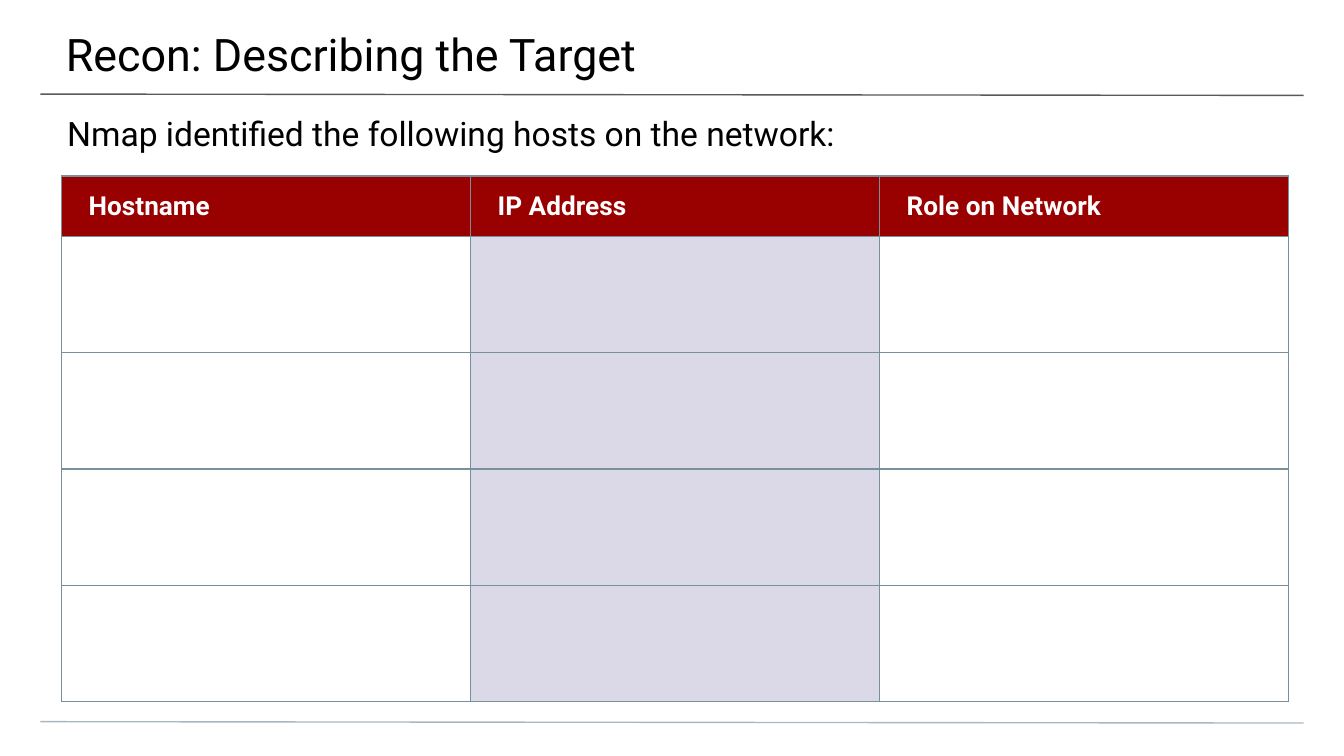
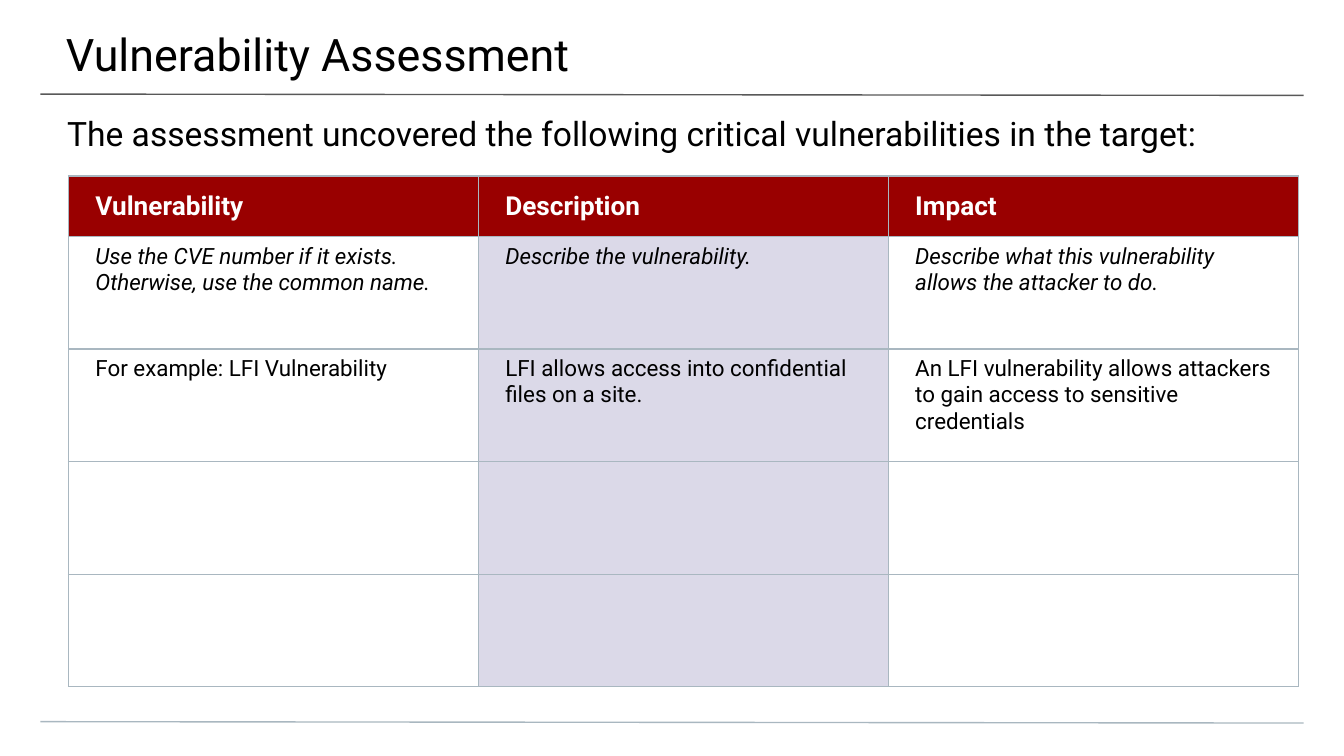
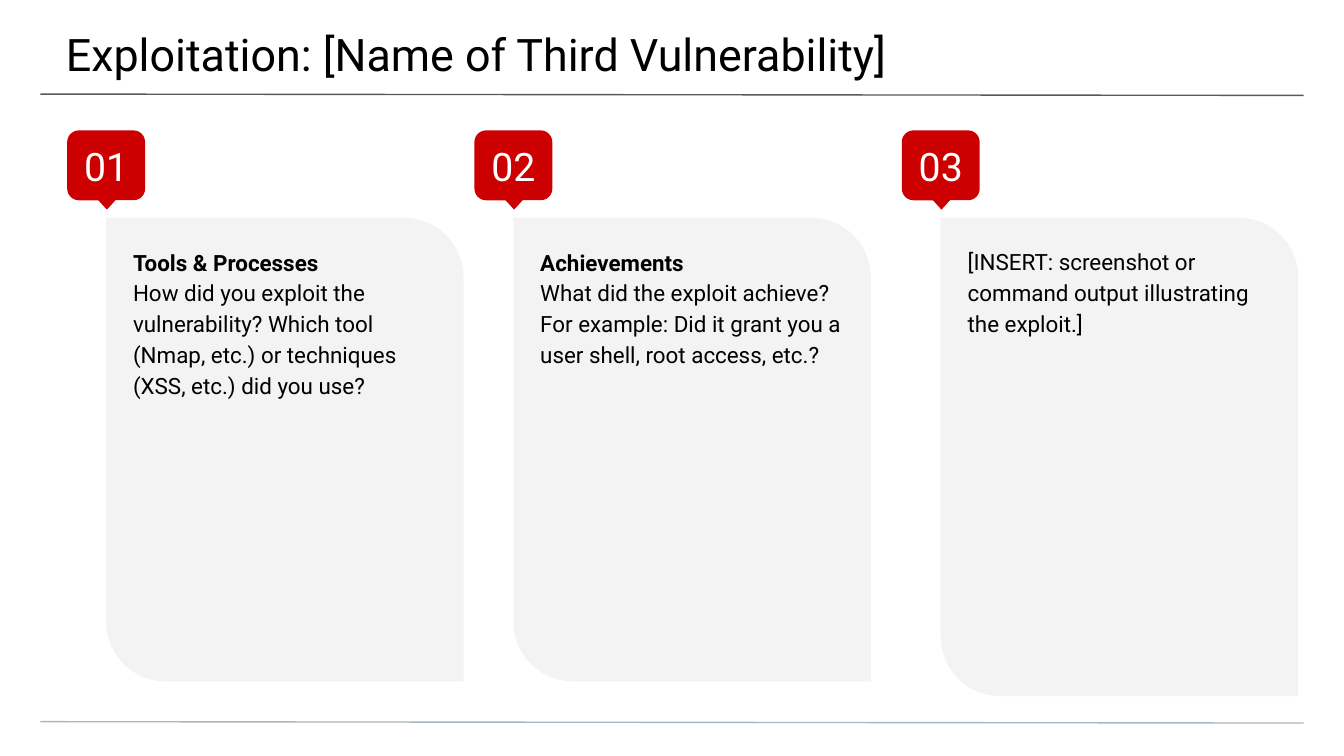
import pptx
import pptx.dml.color
import pptx.enum.shapes
import pptx.enum.text
import pptx.oxml.ns
import pptx.util
from lxml import etree
from pptx.util import Inches

FONT = "Roboto"
BLACK, WHITE = "000000", "FFFFFF"
TITLE_RULE, FOOTER_RULE = "595959", "A9B7C0"
HEADER_RED, BADGE_RED = "990000", "CC0000"
COLUMN_TINT, CARD_GREY = "DBD9E8", "F3F3F3"

TABLE_TOP = 1.31
HEADER_HEIGHT = 0.45
BODY_ROWS = 4

TABLE_SLIDES = [
    {
        "title": "Recon: Describing the Target",
        "lead": "Nmap identified the following hosts on the network:",
        "left": 0.46, "width": 9.13, "height": 3.91, "border": "78909C",
        "header": ["Hostname", "IP Address", "Role on Network"],
        "hints": [], "examples": [],
    },
    {
        "title": "Vulnerability Assessment",
        "lead": "The assessment uncovered the following critical vulnerabilities in the target:",
        "left": 0.51, "width": 9.15, "height": 3.8, "border": FOOTER_RULE,
        "header": ["Vulnerability", "Description", "Impact"],
        "hints": [
            "Use the CVE number if it exists. Otherwise, use the common name.",
            "Describe the vulnerability.",
            "Describe what this vulnerability allows the attacker to do.",
        ],
        "examples": [
            "For example: LFI Vulnerability",
            "LFI allows access into confidential files on a site.",
            "An LFI vulnerability allows attackers to gain access to sensitive credentials",
        ],
    },
]

EXPLOIT_TITLE = "Exploitation: [Name of Third Vulnerability]"
CARD_TOP, CARD_WIDTH = 1.62, 2.66
# number, card left, card height, text width, heading, body
CARDS = [
    ("01", 0.79, 3.45, 2.59, "Tools & Processes",
     "How did you exploit the vulnerability? Which tool (Nmap, etc.) "
     "or techniques (XSS, etc.) did you use?"),
    ("02", 3.82, 3.45, 2.66, "Achievements",
     "What did the exploit achieve? For example: Did it grant you a "
     "user shell, root access, etc.?"),
    ("03", 7.0, 3.56, 2.59, None,
     "[INSERT: screenshot or command output illustrating the exploit.]"),
]


def rgb(value):
    return pptx.dml.color.RGBColor.from_string(value)


def add_run(paragraph, text, size, color=BLACK, bold=False, italic=False):
    run = paragraph.add_run()
    run.text = text
    run.font.name = FONT
    run.font.size = pptx.util.Pt(size)
    run.font.bold = bold
    run.font.italic = italic
    run.font.color.rgb = rgb(color)


def set_frame(frame, insets, anchor=pptx.enum.text.MSO_ANCHOR.TOP):
    """Insets run left, top, right, bottom."""
    frame.word_wrap = True
    frame.auto_size = pptx.enum.text.MSO_AUTO_SIZE.NONE
    frame.vertical_anchor = anchor
    (frame.margin_left, frame.margin_top,
     frame.margin_right, frame.margin_bottom) = map(Inches, insets)


def add_text_box(slide, box, insets):
    frame = slide.shapes.add_textbox(*map(Inches, box)).text_frame
    set_frame(frame, insets)
    return frame


def add_filled(shapes, preset, box, color):
    shape = shapes.add_shape(preset, *map(Inches, box))
    shape.shadow.inherit = False
    shape.fill.solid()
    shape.fill.fore_color.rgb = rgb(color)
    shape.line.fill.background()
    return shape


def add_rule(slide, top, color):
    ends = map(Inches, (0.3, top, 9.7, top + 0.01))
    rule = slide.shapes.add_connector(pptx.enum.shapes.MSO_CONNECTOR.STRAIGHT, *ends)
    rule.line.color.rgb = rgb(color)
    rule.line.width = pptx.util.Pt(0.75)
    etree.SubElement(rule._element.spPr, pptx.oxml.ns.qn("a:effectLst"))


def add_titled_slide(deck, text):
    slide = deck.slides.add_slide(deck.slide_layouts[5])
    add_rule(slide, 0.7, TITLE_RULE)
    add_rule(slide, 5.37, FOOTER_RULE)
    title = slide.shapes.title
    title.left, title.top, title.width, title.height = map(Inches, (-0.01, 0, 10.03, 0.58))
    set_frame(title.text_frame, (0.5, 0.2, 0.3, 0.1))
    heading = title.text_frame.paragraphs[0]
    heading.alignment = pptx.enum.text.PP_ALIGN.LEFT
    add_run(heading, text, 24)
    return slide


def set_borders(cell, color):
    properties = cell._tc.get_or_add_tcPr()
    for side in ("a:lnL", "a:lnR", "a:lnT", "a:lnB"):
        line = etree.SubElement(properties, pptx.oxml.ns.qn(side), w=str(pptx.util.Pt(0.75)))
        fill = etree.SubElement(line, pptx.oxml.ns.qn("a:solidFill"))
        etree.SubElement(fill, pptx.oxml.ns.qn("a:srgbClr"), val=color)


def style_cell(cell, border, fill):
    cell.margin_left = cell.margin_right = Inches(0.2)
    cell.margin_top = cell.margin_bottom = Inches(0.05)
    set_borders(cell, border)
    if fill:
        cell.fill.solid()
        cell.fill.fore_color.rgb = rgb(fill)
    else:
        cell.fill.background()


def add_findings_table(slide, content):
    columns = len(content["header"])
    box = content["left"], TABLE_TOP, content["width"], content["height"]
    table = slide.shapes.add_table(BODY_ROWS + 1, columns, *map(Inches, box)).table
    table.horz_banding = False
    for column in table.columns:
        column.width = Inches(content["width"] / columns)
    body_height = (content["height"] - HEADER_HEIGHT) / BODY_ROWS
    for number, row in enumerate(table.rows):
        row.height = Inches(body_height if number else HEADER_HEIGHT)
        for position, cell in enumerate(row.cells):
            tint = COLUMN_TINT if position == 1 else None
            style_cell(cell, content["border"], tint if number else HEADER_RED)

    for position, text in enumerate(content["header"]):
        cell = table.cell(0, position)
        cell.vertical_anchor = pptx.enum.text.MSO_ANCHOR.MIDDLE
        add_run(cell.text_frame.paragraphs[0], text, 14, WHITE, bold=True)
    for number, part in enumerate(("hints", "examples"), start=1):
        for position, text in enumerate(content[part]):
            paragraph = table.cell(number, position).text_frame.paragraphs[0]
            add_run(paragraph, text, 12, italic=part == "hints")


def add_badge(slide, number, left):
    """Number in a rounded square with a small pointer below it."""
    presets = pptx.enum.shapes.MSO_SHAPE
    badge = slide.shapes.add_group_shape()
    square = add_filled(badge.shapes, presets.ROUNDED_RECTANGLE,
                        (left, 0.97, 0.58, 0.52), BADGE_RED)
    set_frame(square.text_frame, (0.1, 0.1, 0.1, 0.1), pptx.enum.text.MSO_ANCHOR.MIDDLE)
    label = square.text_frame.paragraphs[0]
    label.alignment = pptx.enum.text.PP_ALIGN.CENTER
    add_run(label, number, 21, WHITE)
    pointer = add_filled(badge.shapes, presets.FLOWCHART_EXTRACT,
                         (left + 0.15, 1.4, 0.29, 0.16), BADGE_RED)
    pointer.rotation = 180


def add_card(slide, number, left, height, text_width, heading, body):
    card = add_filled(slide.shapes, pptx.enum.shapes.MSO_SHAPE.ROUND_2_DIAG_RECTANGLE,
                      (left, CARD_TOP, CARD_WIDTH, height), CARD_GREY)
    card.adjustments[0], card.adjustments[1] = 0, 0.167
    frame = add_text_box(slide, (left, CARD_TOP, text_width, height), (0.2, 0.2, 0.2, 0.2))
    paragraph = frame.paragraphs[0]
    paragraph.line_spacing = 1.15
    if heading:
        add_run(paragraph, heading, 12, bold=True)
        paragraph = frame.add_paragraph()
        paragraph.line_spacing = 1.15
    add_run(paragraph, body, 12)
    add_badge(slide, number, left - 0.29)


def main():
    deck = pptx.Presentation()
    deck.slide_width = Inches(10)
    deck.slide_height = deck.slide_width * 9 // 16
    for content in TABLE_SLIDES:
        slide = add_titled_slide(deck, content["title"])
        lead = add_text_box(slide, (0, 0.74, 10, 0.4), (0.5, 0.1, 0.5, 0))
        add_run(lead.paragraphs[0], content["lead"], 18)
        add_findings_table(slide, content)
    slide = add_titled_slide(deck, EXPLOIT_TITLE)
    for card in CARDS:
        add_card(slide, *card)
    deck.save("out.pptx")


if __name__ == "__main__":
    main()
